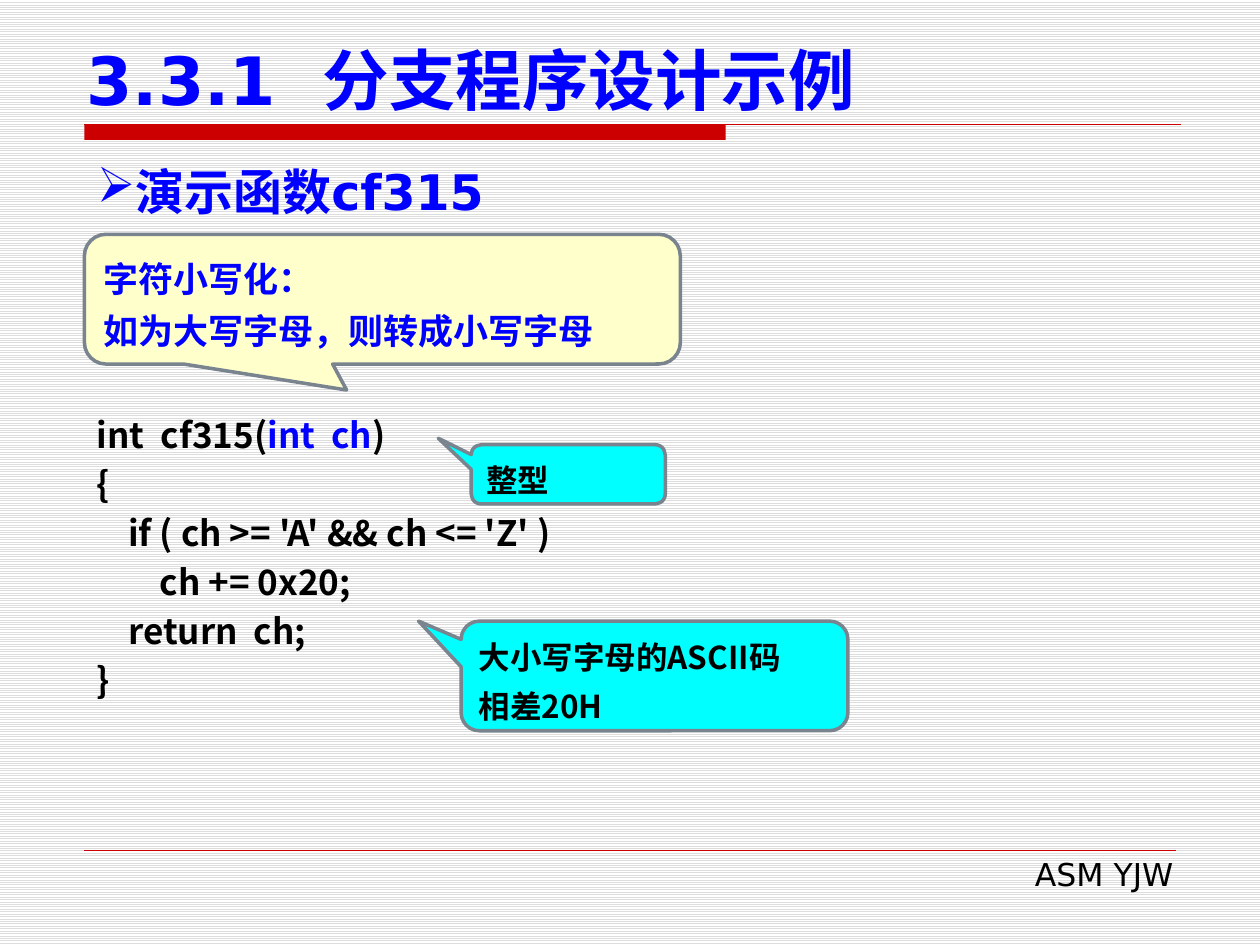
from lxml.etree import SubElement
from pptx import Presentation
from pptx.dml.color import RGBColor
from pptx.enum.dml import MSO_PATTERN
from pptx.enum.shapes import MSO_CONNECTOR, MSO_SHAPE
from pptx.enum.text import MSO_ANCHOR, PP_ALIGN
from pptx.oxml.ns import qn
from pptx.util import Inches, Pt

SANS = "DejaVu Sans"
CJK = "Noto Sans CJK SC"
RED, BLUE, BLACK = "CC0000", "0000FF", "000000"
CYAN, CREAM, GRAY = "00FFFF", "FFFFCC", "79848F"
LEFT = 0.67
CODE_INDENT = 0.25

CODE = [
    (0, [("int  cf315(", BLACK), ("int  ch", BLUE), (")", BLACK)]),
    (0, [("{", BLACK)]),
    (1, [("if ( ch >= 'A' && ch <= 'Z' )", BLACK)]),
    (2, [("ch += 0x20;", BLACK)]),
    (1, [("return  ch;", BLACK)]),
    (0, [("}", BLACK)]),
]


def rgb(hex_color):
    return RGBColor.from_string(hex_color)


def add_run(p, text, size=20, color=BLACK, font=CJK, bold=True):
    r = p.add_run()
    r.text = text
    r.font.size = Pt(size)
    r.font.bold = bold
    r.font.color.rgb = rgb(color)
    r.font.name = font
    SubElement(r.font._element, qn("a:ea"), typeface=CJK)


def write_text(sp, lines, spacing=None, align=PP_ALIGN.LEFT,
               anchor=MSO_ANCHOR.TOP, bullet=None, **fmt):
    """Fill a shape with (indent level, [(text, color), ...]) lines."""
    tf = sp.text_frame
    tf.word_wrap = True
    tf.vertical_anchor = anchor
    for i, (level, runs) in enumerate(lines):
        p = tf.paragraphs[0] if i == 0 else tf.add_paragraph()
        p.alignment = align
        if spacing:
            p.line_spacing = Pt(spacing)
        pPr = p._p.get_or_add_pPr()
        pPr.set("marL", str(Inches(level * CODE_INDENT)))
        pPr.set("indent", "0")
        if bullet:
            SubElement(pPr, qn("a:buChar"), char=bullet)
        for text, color in runs:
            add_run(p, text, color=color, **fmt)


def add_text(s, x, y, w, h, lines, **fmt):
    sp = s.shapes.add_textbox(Inches(x), Inches(y), Inches(w), Inches(h))
    write_text(sp, lines, **fmt)


def add_callout(s, x, y, w, h, tip, fill, texts, color=BLACK, **fmt):
    """tip is the pointer's end, as shares of the size from the center."""
    sp = s.shapes.add_shape(MSO_SHAPE.ROUNDED_RECTANGULAR_CALLOUT,
                            Inches(x), Inches(y), Inches(w), Inches(h))
    sp.shadow.inherit = False
    sp.adjustments[0], sp.adjustments[1] = tip
    sp.fill.solid()
    sp.fill.fore_color.rgb = rgb(fill)
    sp.line.color.rgb = rgb(GRAY)
    sp.line.width = Pt(2)
    write_text(sp, [(0, [(t, color)]) for t in texts],
               anchor=MSO_ANCHOR.MIDDLE, **fmt)


def add_rule(s, y, right, width):
    line = s.shapes.add_connector(MSO_CONNECTOR.STRAIGHT, Inches(LEFT),
                                  Inches(y), Inches(right), Inches(y))
    line.line.color.rgb = rgb(RED)
    line.line.width = Pt(width)
    SubElement(line._element.spPr, qn("a:effectLst"))


def add_bar(s, x, y, w, h):
    sp = s.shapes.add_shape(MSO_SHAPE.RECTANGLE, Inches(x), Inches(y),
                            Inches(w), Inches(h))
    sp.shadow.inherit = False
    sp.fill.solid()
    sp.fill.fore_color.rgb = rgb(RED)
    sp.line.fill.background()


def set_background(s):
    fill = s.background.fill
    fill.patterned()
    fill.pattern = MSO_PATTERN.LIGHT_HORIZONTAL
    fill.fore_color.rgb = rgb("DDDDDD")
    fill.back_color.rgb = rgb("FFFFFF")


def main():
    prs = Presentation()
    prs.slide_width, prs.slide_height = Inches(10), Inches(7.5)
    s = prs.slides.add_slide(prs.slide_layouts[6])
    set_background(s)

    add_bar(s, LEFT, 0.99, 5.09, 0.12)
    add_rule(s, 0.99, 9.37, 0.75)
    add_rule(s, 6.75, 9.33, 0.25)
    add_text(s, 3.82, 6.74, 5.59, 0.4, [(0, [("ASM YJW", BLACK)])],
             align=PP_ALIGN.RIGHT, size=18, font=SANS, bold=False)

    add_text(s, 0.59, 0.28, 9.06, 0.71,
             [(0, [("3.3.1  分支程序设计示例", BLUE)])],
             anchor=MSO_ANCHOR.BOTTOM, size=38, font=SANS)
    add_text(s, LEFT, 1.23, 8.66, 0.57, [(0, [("演示函数cf315", BLUE)])],
             align=PP_ALIGN.JUSTIFY, bullet="➢", size=28, font=SANS)
    add_text(s, LEFT, 3.18, 9.33, 2.46, CODE, spacing=28)

    add_callout(s, 3.66, 4.93, 3.07, 0.87, (-0.61, -0.5), CYAN,
                ["大小写字母的ASCII码", "相差20H"], spacing=28, size=18)
    add_callout(s, LEFT, 1.86, 4.73, 1.03, (-0.06, 0.7), CREAM,
                ["字符小写化：", "如为大写字母，则转成小写字母"],
                color=BLUE, spacing=30)
    add_callout(s, 3.74, 3.53, 1.54, 0.47, (-0.67, -0.61), CYAN,
                ["整型"], spacing=28, size=18)
    prs.save("out.pptx")


if __name__ == "__main__":
    main()
